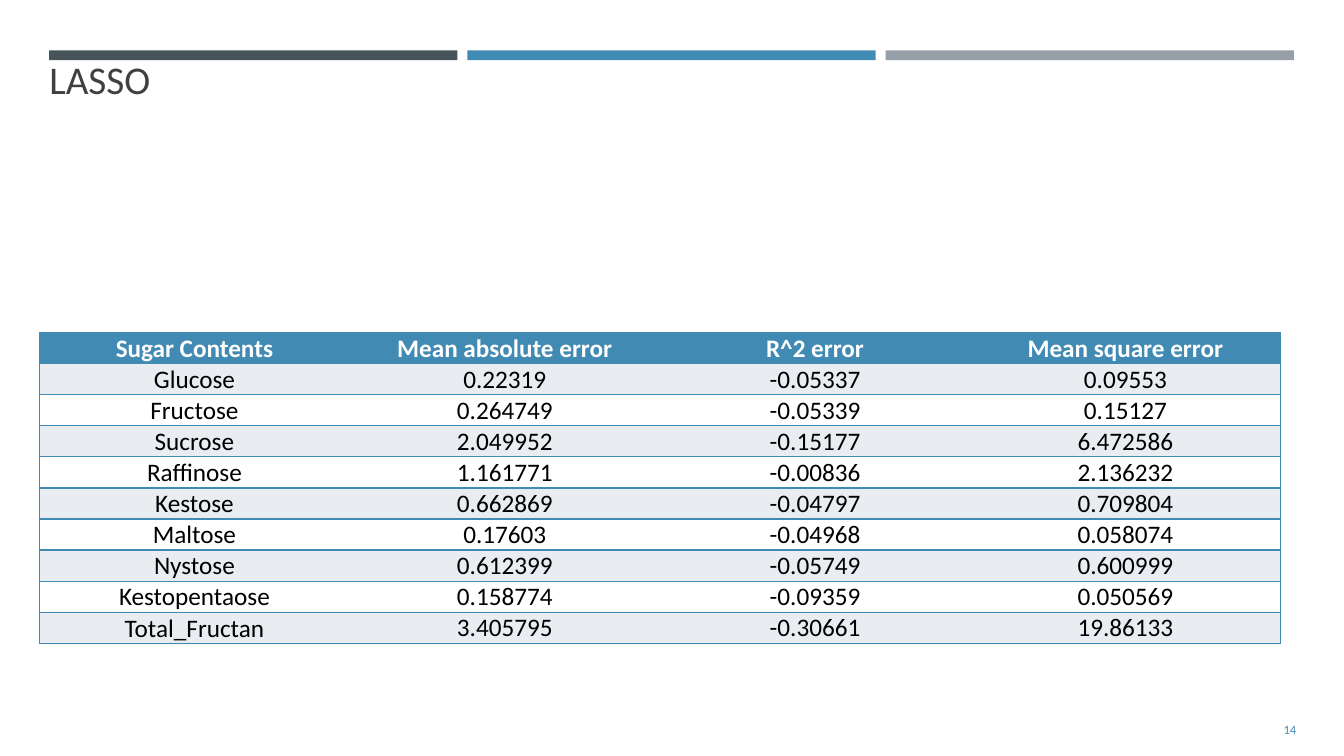
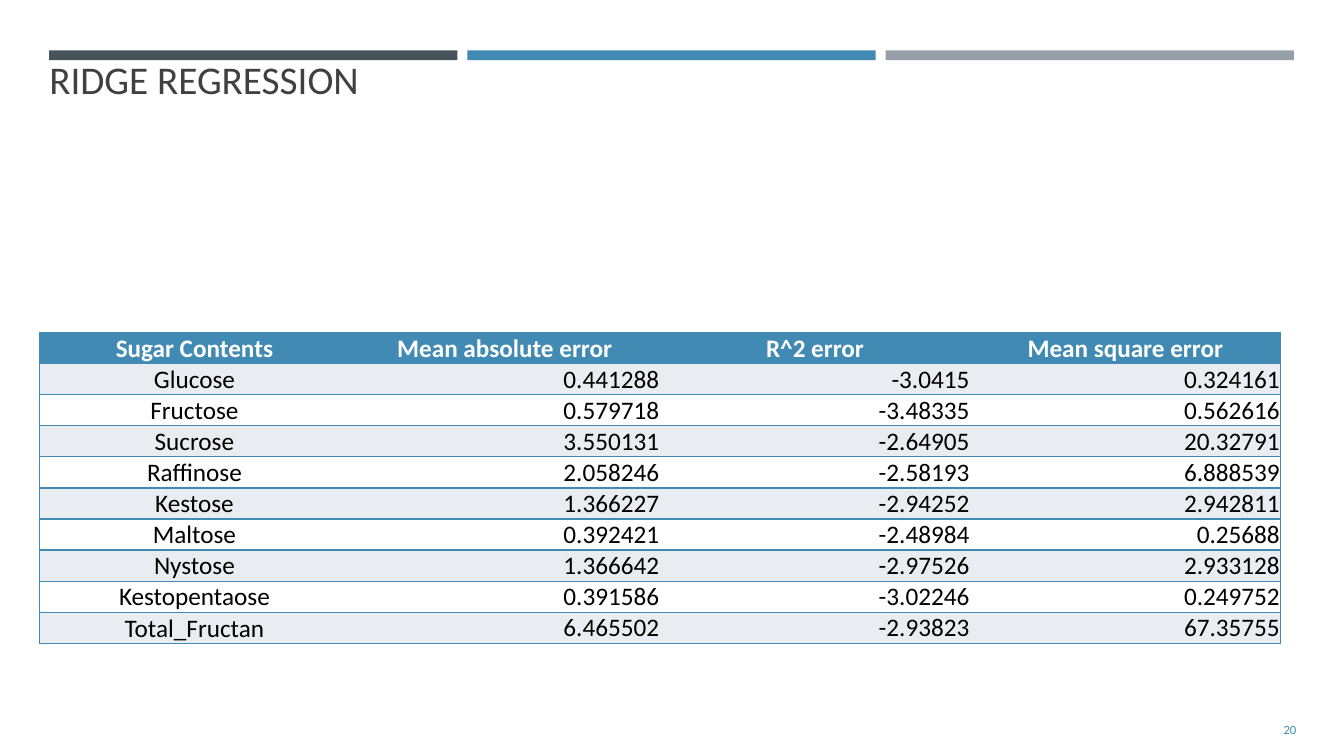
from lxml.etree import SubElement
from pptx import Presentation
from pptx.dml.color import RGBColor
from pptx.enum.shapes import MSO_SHAPE as Shape
from pptx.enum.text import MSO_ANCHOR as Anchor, MSO_AUTO_SIZE as Fit, PP_ALIGN as Align
from pptx.oxml.ns import qn
from pptx.util import Cm, Pt

FONT = "Calibri"
SLATE, BLUE, GRAY = "465359", "418AB3", "969FA7"
INK, BLACK, WHITE, PALE = "404040", "000000", "FFFFFF", "E9EDF2"

TITLE = {"size": Pt(28), "color": INK}
NUMBER = {"size": Pt(9), "color": BLUE}
HEAD = {"size": Pt(18), "color": WHITE, "bold": True}
BODY = {"size": Pt(18), "color": BLACK, "bold": False}
INSET = {"margin_left": Cm(0.02), "margin_top": Cm(0.02),
         "margin_right": Cm(0.02), "margin_bottom": 0}

HEADS = ["Sugar Contents", "Mean absolute error", "R^2 error", "Mean square error"]
SUGARS = ["Glucose", "Fructose", "Sucrose", "Raffinose", "Kestose",
          "Maltose", "Nystose", "Kestopentaose", "Total_Fructan"]
LASSO = [
    ("0.22319", "-0.05337", "0.09553"),
    ("0.264749", "-0.05339", "0.15127"),
    ("2.049952", "-0.15177", "6.472586"),
    ("1.161771", "-0.00836", "2.136232"),
    ("0.662869", "-0.04797", "0.709804"),
    ("0.17603", "-0.04968", "0.058074"),
    ("0.612399", "-0.05749", "0.600999"),
    ("0.158774", "-0.09359", "0.050569"),
    ("3.405795", "-0.30661", "19.86133"),
]
RIDGE = [
    ("0.441288", "-3.0415", "0.324161"),
    ("0.579718", "-3.48335", "0.562616"),
    ("3.550131", "-2.64905", "20.32791"),
    ("2.058246", "-2.58193", "6.888539"),
    ("1.366227", "-2.94252", "2.942811"),
    ("0.392421", "-2.48984", "0.25688"),
    ("1.366642", "-2.97526", "2.933128"),
    ("0.391586", "-3.02246", "0.249752"),
    ("6.465502", "-2.93823", "67.35755"),
]
PAGES = [
    ("LASSO", "14", LASSO, Align.CENTER),
    ("RIDGE REGRESSION", "20", RIDGE, Align.RIGHT),
]


def rgb(code):
    return RGBColor.from_string(code)


def apply(item, values):
    for name, value in values.items():
        setattr(item, name, value)


def box(*lengths):
    return [Cm(length) for length in lengths]


def write(frame, text, look, align):
    para = frame.paragraphs[0]
    para.alignment = align
    run = para.add_run()
    run.text = text
    run.font.color.rgb = rgb(look["color"])
    apply(run.font, {"name": FONT, **{k: v for k, v in look.items() if k != "color"}})


def add_bands(slide, layout):
    for i, color in enumerate([SLATE, BLUE, GRAY]):
        band = slide.shapes.add_shape(Shape.RECTANGLE, *box(1.24 + i * 10.54, 1.27, 10.29, 0.25))
        band.shadow.inherit = False
        band.fill.solid()
        band.fill.fore_color.rgb = rgb(color)
        band.line.fill.background()
        band.name = f"Band {i + 1}"
        band.element.nvSpPr.cNvPr.set("id", str(101 + i))
        layout.shapes.element.append(band.element)


def add_title(slide, text):
    title = slide.shapes.title
    left, top, width, height = box(0.99, 1.27, 19.48, 4.45)
    apply(title, {"left": left, "top": top, "width": width, "height": height})
    apply(title.text_frame, {"vertical_anchor": Anchor.TOP, "word_wrap": True,
                             "auto_size": Fit.NONE})
    write(title.text_frame, text, TITLE, Align.LEFT)


def add_number(slide, text):
    frame = slide.shapes.add_textbox(*box(30, 17.88, 2.92, 1.02)).text_frame
    apply(frame, {"vertical_anchor": Anchor.MIDDLE, "word_wrap": True})
    write(frame, text, NUMBER, Align.RIGHT)


def rule(cell, first, last):
    props = cell._tc.get_or_add_tcPr()
    for side, shown in {"L": first, "R": last, "T": True, "B": True}.items():
        line = SubElement(props, qn(f"a:ln{side}"), w=str(Pt(1)))
        if shown:
            fill = SubElement(line, qn("a:solidFill"))
            SubElement(fill, qn("a:srgbClr"), val=BLUE)
        else:
            SubElement(line, qn("a:noFill"))


def add_grid(slide, values, align):
    rows = [HEADS] + [[sugar, *row] for sugar, row in zip(SUGARS, values)]
    size = len(rows), len(HEADS)
    table = slide.shapes.add_table(*size, *box(0.99, 8.38, 31.28, 7.8)).table
    for r, row in enumerate(rows):
        for c, text in enumerate(row):
            cell = table.cell(r, c)
            number = r > 0 and c > 0
            rule(cell, c == 0, c == len(row) - 1)
            cell.fill.solid()
            cell.fill.fore_color.rgb = rgb(BLUE if r == 0 else PALE if r % 2 else WHITE)
            apply(cell, {**INSET, "vertical_anchor": Anchor.BOTTOM if number else Anchor.MIDDLE})
            write(cell.text_frame, text, BODY if r else HEAD, align if number else Align.CENTER)


def main():
    deck = Presentation()
    apply(deck, {"slide_width": Cm(33.87), "slide_height": Cm(19.05)})
    layout = deck.slide_layouts.get_by_name("Title Only")
    for i, (title, number, values, align) in enumerate(PAGES):
        slide = deck.slides.add_slide(layout)
        if i == 0:
            add_bands(slide, layout)
        add_title(slide, title)
        add_number(slide, number)
        add_grid(slide, values, align)
    deck.save("out.pptx")


if __name__ == "__main__":
    main()
